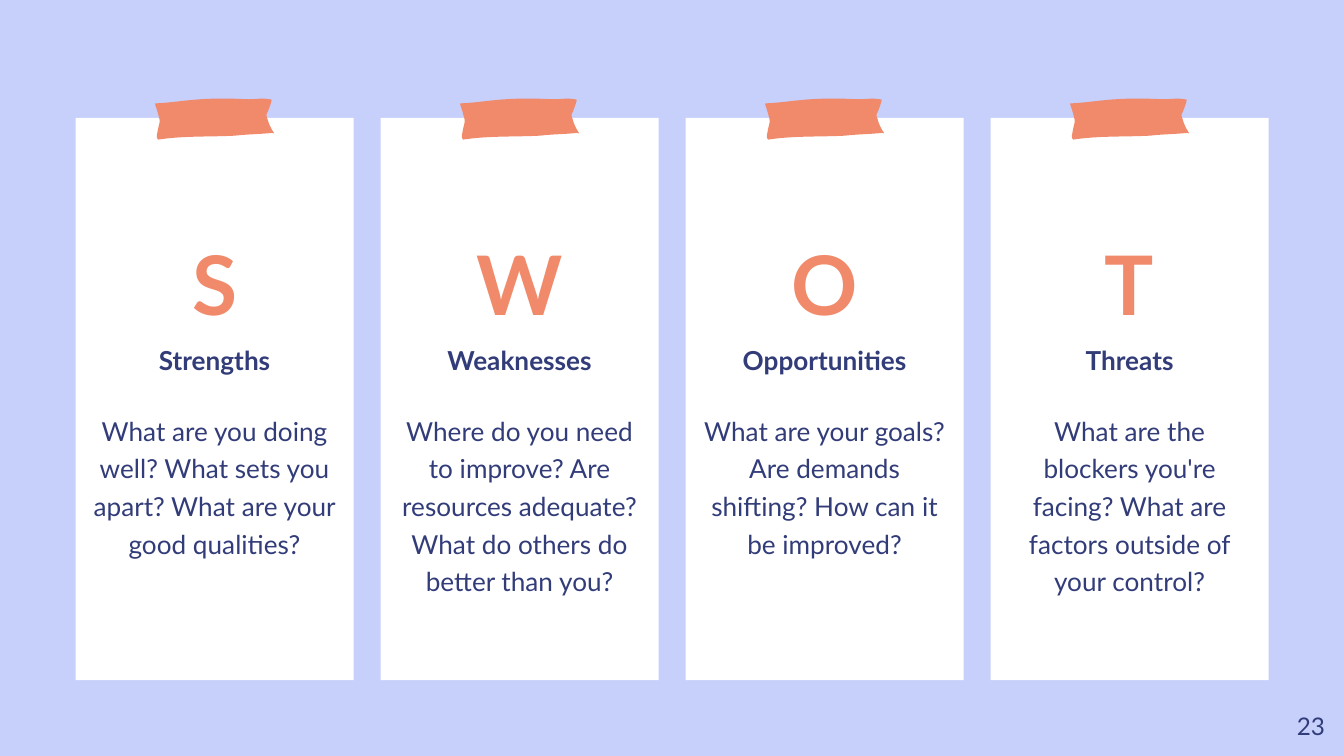
from math import cos, radians, sin

from lxml.etree import SubElement
from pptx import Presentation
from pptx.dml.color import RGBColor
from pptx.enum.shapes import MSO_SHAPE
from pptx.enum.text import MSO_AUTO_SIZE, PP_ALIGN
from pptx.oxml.ns import qn
from pptx.util import Pt

LAVENDER = RGBColor(0xC7, 0xCF, 0xFB)
WHITE = RGBColor(0xFF, 0xFF, 0xFF)
CORAL = RGBColor(0xF0, 0x8A, 0x6B)
NAVY = RGBColor(0x32, 0x3C, 0x79)
FONT = "Lato"

CARD_LEFT, CARD_TOP, CARD_WIDTH, CARD_HEIGHT = 40.5, 63.2, 149, 301.2
CARD_PITCH = 163.4
TEXT_INSET, TEXT_WIDTH = 9.3, 130.3

TAPE_INSET, TAPE_TOP, TAPE_TILT = 42.8, 52.5, -2.9
TAPE_CENTER = (31.7, 11)
TAPE_START = (63.4, 18.7)
TAPE_CURVES = [
    ((62.6, 17.3), (61.9, 16.6), (60.5, 13)),
    ((59, 7.9), (59, 10.1), (60.5, 6.5)),
    ((62.6, 0.7), (62.6, 0.7), (61.2, 0.7)),
    ((57.6, 0), (53.3, 0.7), (49.7, 0.7)),
    ((21.6, -0.7), (15.1, 2.2), (0, 2.9)),
    ((-0.7, 2.9), (0, 3.6), (1.4, 8.6)),
    ((2.9, 14.4), (2.2, 10.8), (0.7, 20.2)),
    ((0.7, 20.9), (0.7, 22.3), (1.4, 22.3)),
    ((15.1, 20.2), (28.8, 20.9), (42.5, 20.2)),
    ((49, 19.4), (56.2, 19.4), (62.6, 18.7)),
    ((63.4, 19.4), (63.4, 18.7), (63.4, 18.7)),
]

CARDS = [
    ("S", "Strengths", 98.6,
     "What are you doing well? What sets you apart? What are your good qualities?"),
    ("W", "Weaknesses", 118.8,
     "Where do you need to improve? Are resources adequate? "
     "What do others do better than you?"),
    ("O", "Opportunities", 98.6,
     "What are your goals? Are demands shifting? How can it be improved?"),
    ("T", "Threats", 98.6,
     "What are the blockers you're facing? What are factors outside of your control?"),
]


def paint(shape, color):
    """Give a shape a plain fill without line or shadow."""
    shape.shadow.inherit = False
    shape.fill.solid()
    shape.fill.fore_color.rgb = color
    shape.line.fill.background()


def add_card(slide, left):
    """Add one white card."""
    card = slide.shapes.add_shape(MSO_SHAPE.RECTANGLE, Pt(left), Pt(CARD_TOP),
                                  Pt(CARD_WIDTH), Pt(CARD_HEIGHT))
    paint(card, WHITE)


def level(point):
    """Turn a tape point back to the level position around the tape center."""
    angle = radians(-TAPE_TILT)
    x, y = (value - center for value, center in zip(point, TAPE_CENTER))
    return (TAPE_CENTER[0] + x * cos(angle) - y * sin(angle),
            TAPE_CENTER[1] + x * sin(angle) + y * cos(angle))


def bend_segments(shape):
    """Join every three straight segments of a freeform into one cubic curve."""
    outline = next(shape.element.iter(qn("a:path")))
    segments = outline.findall(qn("a:lnTo"))
    closing = outline.find(qn("a:close"))
    outline.remove(closing)
    for index, segment in enumerate(segments):
        if index % 3 == 0:
            curve = SubElement(outline, qn("a:cubicBezTo"))
        curve.append(segment[0])
        outline.remove(segment)
    outline.append(closing)


def add_tape(slide, left):
    """Add one tilted strip of tape."""
    outline = [TAPE_START] + [point for curve in TAPE_CURVES for point in curve]
    points = [(Pt(left + x), Pt(TAPE_TOP + y)) for x, y in map(level, outline)]
    builder = slide.shapes.build_freeform(*points[0])
    builder.add_line_segments(points[1:], close=True)
    tape = builder.convert_to_shape()
    bend_segments(tape)
    tape.rotation = TAPE_TILT
    paint(tape, CORAL)


def add_text(shapes, box, text, size, color, bold=False,
             align=PP_ALIGN.CENTER, spacing=1.2, margin=0):
    """Add a wrapped text box with one run."""
    text_box = shapes.add_textbox(*map(Pt, box))
    frame = text_box.text_frame
    frame.word_wrap = True
    frame.auto_size = MSO_AUTO_SIZE.NONE if margin else MSO_AUTO_SIZE.SHAPE_TO_FIT_TEXT
    frame.margin_left = frame.margin_right = Pt(margin)
    frame.margin_top = frame.margin_bottom = Pt(margin)
    paragraph = frame.paragraphs[0]
    paragraph.alignment = align
    paragraph.line_spacing = spacing
    run = paragraph.add_run()
    run.text = text
    run.font.name = FONT
    run.font.size = Pt(size)
    run.font.bold = bold
    run.font.color.rgb = color


def add_card_text(slide, left, letter, heading, body_height, body):
    """Add the grouped letter, heading and questions of one card."""
    shapes = slide.shapes.add_group_shape().shapes
    add_text(shapes, (left, 114.5, TEXT_WIDTH, 53.3), letter, 44, CORAL, bold=True)
    add_text(shapes, (left, 181, TEXT_WIDTH, 17.3), heading, 14, NAVY, bold=True)
    add_text(shapes, (left, 219.1, TEXT_WIDTH, body_height), body, 14, NAVY)


def main():
    """Build and save the slide."""
    presentation = Presentation()
    presentation.slide_width = Pt(720)
    presentation.slide_height = Pt(405)
    slide = presentation.slides.add_slide(presentation.slide_layouts[6])
    slide.background.fill.solid()
    slide.background.fill.fore_color.rgb = LAVENDER

    lefts = [CARD_LEFT + index * CARD_PITCH for index in range(len(CARDS))]
    for left in lefts:
        add_card(slide, left)
    for left in lefts:
        add_tape(slide, left + TAPE_INSET)
    for left, content in zip(lefts, CARDS):
        add_card_text(slide, left + TEXT_INSET, *content)

    add_text(slide.shapes, (673.7, 373.7, 43.2, 31), "23", 13, NAVY,
             align=PP_ALIGN.RIGHT, spacing=1.0, margin=7.2)
    presentation.save("out.pptx")


if __name__ == "__main__":
    main()
